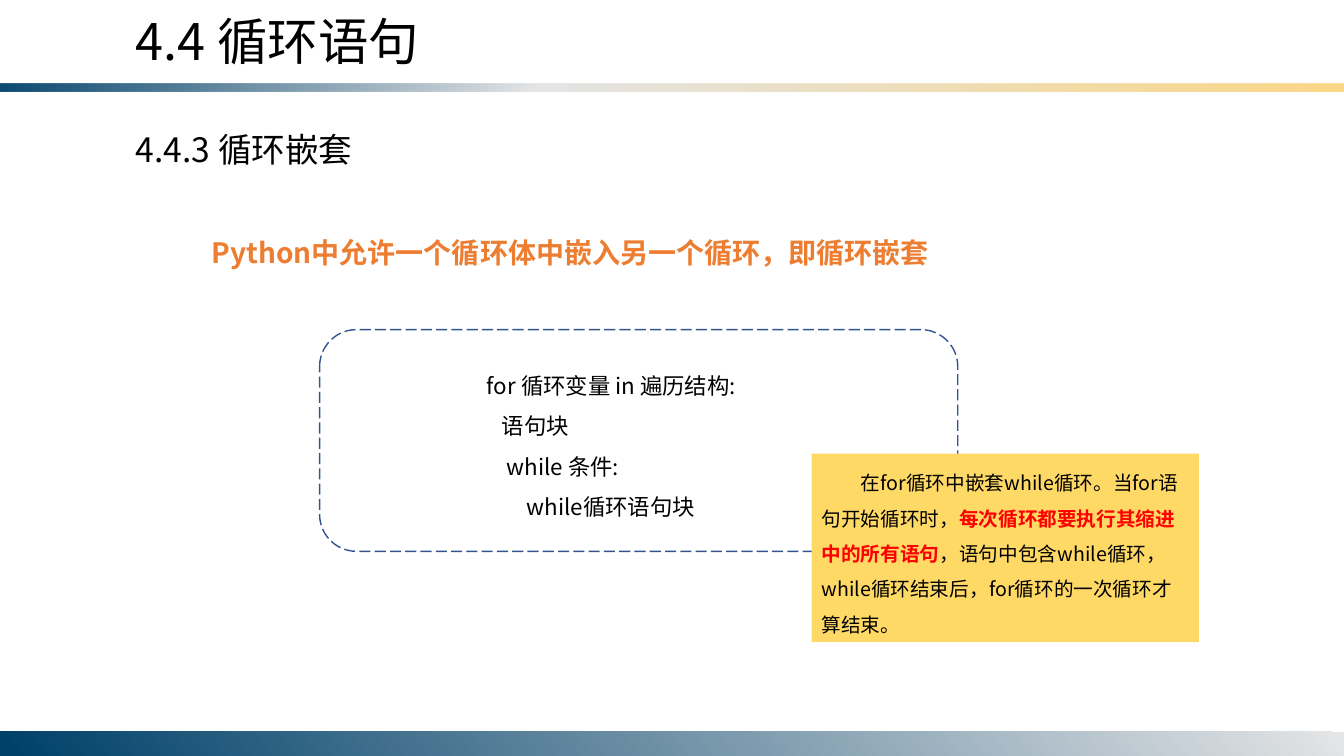
import lxml.etree
import pptx
import pptx.dml.color
import pptx.enum.dml
import pptx.enum.shapes
import pptx.enum.text
import pptx.oxml
import pptx.oxml.ns
import pptx.util

Inches = pptx.util.Inches
RGBColor = pptx.dml.color.RGBColor
Shape = pptx.enum.shapes.MSO_SHAPE

FONT = "Noto Sans CJK SC"
BLACK = RGBColor(0x00, 0x00, 0x00)
RED = RGBColor(0xFF, 0x00, 0x00)
ORANGE = RGBColor(0xED, 0x7D, 0x31)
YELLOW = RGBColor(0xFF, 0xD9, 0x66)
BLUE = RGBColor(0x32, 0x54, 0x91)
NAVY = RGBColor(0x00, 0x41, 0x6A)
GRAY = RGBColor(0xE4, 0xE5, 0xE6)
SAND = RGBColor(0xFB, 0xD7, 0x86)

CODE = [
    "for 循环变量 in 遍历结构:",
    "   语句块",
    "    while 条件:",
    "        while循环语句块",
]
NOTE = [
    ("在for循环中嵌套while循环。当for语句开始循环时，", {}),
    ("每次循环都要执行其缩进中的所有语句", {"color": RED, "bold": True}),
    ("，语句中包含while循环，while循环结束后，for循环的一次循环才算结束。", {}),
]


def add_run(para, text, size, color=BLACK, bold=False):
    """Add one formatted run with the font set for Latin and Chinese text."""
    span = para.add_run()
    span.text = text
    for name, value in {"name": FONT, "size": pptx.util.Pt(size), "bold": bold}.items():
        setattr(span.font, name, value)
    span.font.color.rgb = color
    east_asian = lxml.etree.SubElement(span.font._element, pptx.oxml.ns.qn("a:ea"))
    east_asian.set("typeface", FONT)


def fill_text(shape, paragraphs, size, indent=0, spacing=1.0):
    """Write paragraphs, each a list of (text, format) pairs, into a shape."""
    frame = shape.text_frame
    settings = {
        "word_wrap": True,
        "auto_size": pptx.enum.text.MSO_AUTO_SIZE.SHAPE_TO_FIT_TEXT,
    }
    for name, value in settings.items():
        setattr(frame, name, value)
    for number, runs in enumerate(paragraphs):
        para = frame.add_paragraph() if number else frame.paragraphs[0]
        para.alignment = pptx.enum.text.PP_ALIGN.LEFT
        para.line_spacing = spacing
        if indent:
            para._p.get_or_add_pPr().set("indent", str(Inches(indent)))
        for text, style in runs:
            add_run(para, text, size, **style)


def add_text(page, box, paragraphs, size, **layout):
    """Add a text box at the given box."""
    shape = page.shapes.add_textbox(*map(Inches, box))
    fill_text(shape, paragraphs, size, **layout)


def add_plain_shape(page, kind, box):
    """Add a preset shape without shadow, fill or line."""
    shape = page.shapes.add_shape(kind, *map(Inches, box))
    shape.shadow.inherit = False
    shape.fill.background()
    shape.line.fill.background()
    return shape


def add_gradient_bar(page, box, stops, angle):
    """Add a bar filled by (position, colour, opacity) stops in percent."""
    bar = add_plain_shape(page, Shape.RECTANGLE, box)
    stop_xml = "".join(
        f'<a:gs pos="{position * 1000}"><a:srgbClr val="{color}">'
        f'<a:alpha val="{opacity * 1000}"/></a:srgbClr></a:gs>'
        for position, color, opacity in stops
    )
    gradient = pptx.oxml.parse_xml(
        f'<a:gradFill {pptx.oxml.ns.nsdecls("a")} rotWithShape="1">'
        f'<a:gsLst>{stop_xml}</a:gsLst>'
        f'<a:lin ang="{angle * 60000}" scaled="0"/></a:gradFill>'
    )
    properties = bar._element.spPr
    properties.replace(properties.find(pptx.oxml.ns.qn("a:noFill")), gradient)


def add_code_panel(page, box):
    """Add the dashed frame and the nested loop inside it."""
    left, top, width, height = box
    frame = add_plain_shape(page, Shape.ROUNDED_RECTANGLE, box)
    frame.line.color.rgb = BLUE
    frame.line.width = pptx.util.Pt(1)
    frame.line.dash_style = pptx.enum.dml.MSO_LINE.LONG_DASH
    code_box = (left + 1.56, top + 0.24, 3.88, height - 0.48)
    add_text(page, code_box, [[(line, {})] for line in CODE], 16, spacing=1.5)


def add_note(page, box):
    """Add the yellow explanation card."""
    card = add_plain_shape(page, Shape.RECTANGLE, box)
    card.fill.solid()
    card.fill.fore_color.rgb = YELLOW
    fill_text(card, [NOTE], 14, indent=0.39, spacing=1.5)


def build_loop_slide(page):
    """Place the bars, headings, code panel and note."""
    top_stops = [(0, NAVY, 95), (40, GRAY, 100), (100, SAND, 100)]
    add_gradient_bar(page, (0, 0.83, 13.33, 0.08), top_stops, 50)
    add_gradient_bar(page, (0, 7.26, 13.33, 0.24), [(0, GRAY, 100), (99, NAVY, 100)], 140)
    add_text(page, (1.25, 0.05, 6.12, 0.71), [[("4.4 循环语句", {})]], 36)
    add_text(page, (1.25, 1.23, 2.57, 0.5), [[("4.4.3 循环嵌套", {})]], 24)
    claim = [("Python中允许一个循环体中嵌入另一个循环，即循环嵌套", {"color": ORANGE, "bold": True})]
    add_text(page, (1.44, 2.12, 10.45, 0.6), [claim], 20, indent=0.56, spacing=1.5)
    add_code_panel(page, (3.17, 3.27, 6.33, 2.2))
    add_note(page, (8.05, 4.5, 3.84, 1.87))


def main():
    """Build and save the deck."""
    deck = pptx.Presentation()
    deck.slide_width = Inches(13.33)
    deck.slide_height = Inches(7.5)
    build_loop_slide(deck.slides.add_slide(deck.slide_layouts[6]))
    deck.save("out.pptx")


if __name__ == "__main__":
    main()
